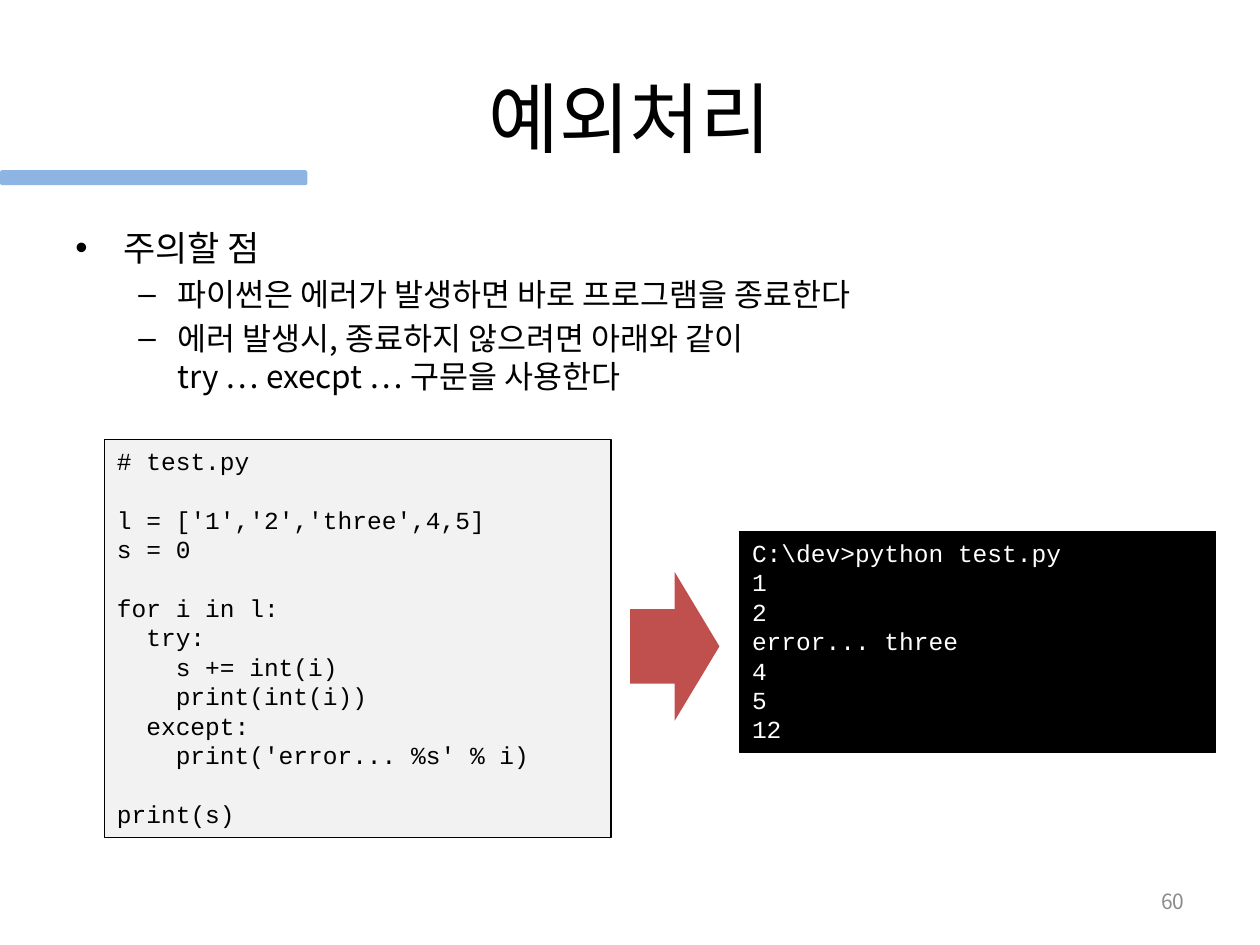
"""Build the slide on exception handling in Python."""
from dataclasses import dataclass

from lxml.etree import SubElement
from pptx import Presentation
from pptx.dml.color import RGBColor
from pptx.enum.shapes import MSO_SHAPE
from pptx.enum.text import MSO_ANCHOR, PP_ALIGN
from pptx.oxml.ns import qn
from pptx.util import Inches, Pt


@dataclass(frozen=True)
class Theme:
    """Colours, fonts and type sizes."""
    black: str = "000000"
    white: str = "FFFFFF"
    code_fill: str = "F2F2F2"
    arrow: str = "C0504D"
    accent: str = "8EB4E3"
    muted: str = "8C8C8C"
    sans: str = "Noto Sans CJK KR"
    mono: str = "Courier New"
    title_size: int = 44
    body_sizes: tuple = (20, 18)
    code_size: int = 14
    number_size: int = 12
    leading: float = 1.2


THEME = Theme()
TITLE = "예외처리"
PAGE_NUMBER = "60"
BULLETS = [
    (0, ["주의할 점"]),
    (1, ["파이썬은 에러가 발생하면 바로 프로그램을 종료한다"]),
    (1, ["에러 발생시, 종료하지 않으려면 아래와 같이", "try … execpt … 구문을 사용한다"]),
]
BULLET_LEVELS = [("•", 0.38, -0.38), ("–", 0.81, -0.31)]
CODE_BLOCKS = [
    [(0, "# test.py")],
    [(0, "l = ['1','2','three',4,5]"), (0, "s = 0")],
    [(0, "for i in l:"), (1, "try:"), (2, "s += int(i)"), (2, "print(int(i))"),
     (1, "except:"), (2, "print('error... %s' % i)")],
    [(0, "print(s)")],
]
OUTPUT_BLOCKS = [[(0, line) for line in
                  (r"C:\dev>python test.py", "1", "2", "error... three", "4", "5", "12")]]


def add_block(slide, preset, box, fill, line=None):
    shape = slide.shapes.add_shape(preset, *map(Inches, box))
    shape.shadow.inherit = False
    shape.fill.solid()
    shape.fill.fore_color.rgb = RGBColor.from_string(fill)
    if line:
        shape.line.color.rgb = RGBColor.from_string(line)
        shape.line.width = Pt(0.75)
    else:
        shape.line.fill.background()
    return shape


def add_text_frame(slide, box, anchor=MSO_ANCHOR.TOP):
    frame = slide.shapes.add_textbox(*map(Inches, box)).text_frame
    frame.word_wrap = True
    frame.vertical_anchor = anchor
    return frame


def write_paragraph(paragraph, lines, size, font, color, align=PP_ALIGN.LEFT):
    paragraph.alignment = align
    paragraph.line_spacing = Pt(size * THEME.leading)
    for index, text in enumerate(lines):
        if index:
            paragraph.add_line_break()
        run = paragraph.add_run()
        run.text = text
        run.font.size = Pt(size)
        run.font.name = font
        run.font.color.rgb = RGBColor.from_string(color)
        SubElement(run.font._element, qn("a:ea"), typeface=font)


def next_paragraph(frame, index):
    return frame.add_paragraph() if index else frame.paragraphs[0]


def set_indent(paragraph, margin, indent=0):
    properties = paragraph._p.get_or_add_pPr()
    properties.set("marL", str(Inches(margin)))
    properties.set("indent", str(Inches(indent)))
    return properties


def add_bullets(slide, box):
    frame = add_text_frame(slide, box)
    for index, (level, lines) in enumerate(BULLETS):
        paragraph = next_paragraph(frame, index)
        size = THEME.body_sizes[level]
        write_paragraph(paragraph, lines, size, THEME.sans, THEME.black)
        paragraph.level = level
        paragraph.space_before = Pt(size * 0.2 if index else 0)
        mark, margin, indent = BULLET_LEVELS[level]
        properties = set_indent(paragraph, margin, indent)
        SubElement(properties, qn("a:buFont"), typeface="Arial")
        SubElement(properties, qn("a:buChar"), char=mark)


def add_code(slide, box, blocks, fill, color):
    frame = add_block(slide, MSO_SHAPE.RECTANGLE, box, fill, THEME.black).text_frame
    frame.word_wrap = True
    frame.vertical_anchor = MSO_ANCHOR.TOP
    size = THEME.code_size
    two_characters = 2 * 0.6 * size / 72
    rows = [(number > 0 and row == 0, depth, text)
            for number, block in enumerate(blocks)
            for row, (depth, text) in enumerate(block)]
    for index, (starts_block, depth, text) in enumerate(rows):
        paragraph = next_paragraph(frame, index)
        write_paragraph(paragraph, [text], size, THEME.mono, color)
        paragraph.space_before = Pt(size * THEME.leading if starts_block else 0)
        set_indent(paragraph, depth * two_characters)


presentation = Presentation()
presentation.slide_width, presentation.slide_height = Inches(10), Inches(7.5)
slide = presentation.slides.add_slide(presentation.slide_layouts[6])

title = add_text_frame(slide, (0.5, 0.3, 9, 1.25), MSO_ANCHOR.MIDDLE)
write_paragraph(title.paragraphs[0], [TITLE], THEME.title_size, THEME.sans,
                THEME.black, PP_ALIGN.CENTER)
add_bullets(slide, (0.5, 1.75, 9, 4.95))
add_code(slide, (0.83, 3.49, 4.02, 3.16), CODE_BLOCKS, THEME.code_fill, THEME.black)
add_code(slide, (5.87, 4.22, 3.78, 1.75), OUTPUT_BLOCKS, THEME.black, THEME.white)
add_block(slide, MSO_SHAPE.RIGHT_ARROW, (5, 4.54, 0.71, 1.18), THEME.arrow)
number = add_text_frame(slide, (7.17, 6.95, 2.33, 0.4), MSO_ANCHOR.MIDDLE)
write_paragraph(number.paragraphs[0], [PAGE_NUMBER], THEME.number_size, THEME.sans,
                THEME.muted, PP_ALIGN.RIGHT)
add_block(slide, MSO_SHAPE.ROUNDED_RECTANGLE, (0, 1.35, 2.44, 0.12), THEME.accent)

presentation.save("out.pptx")
